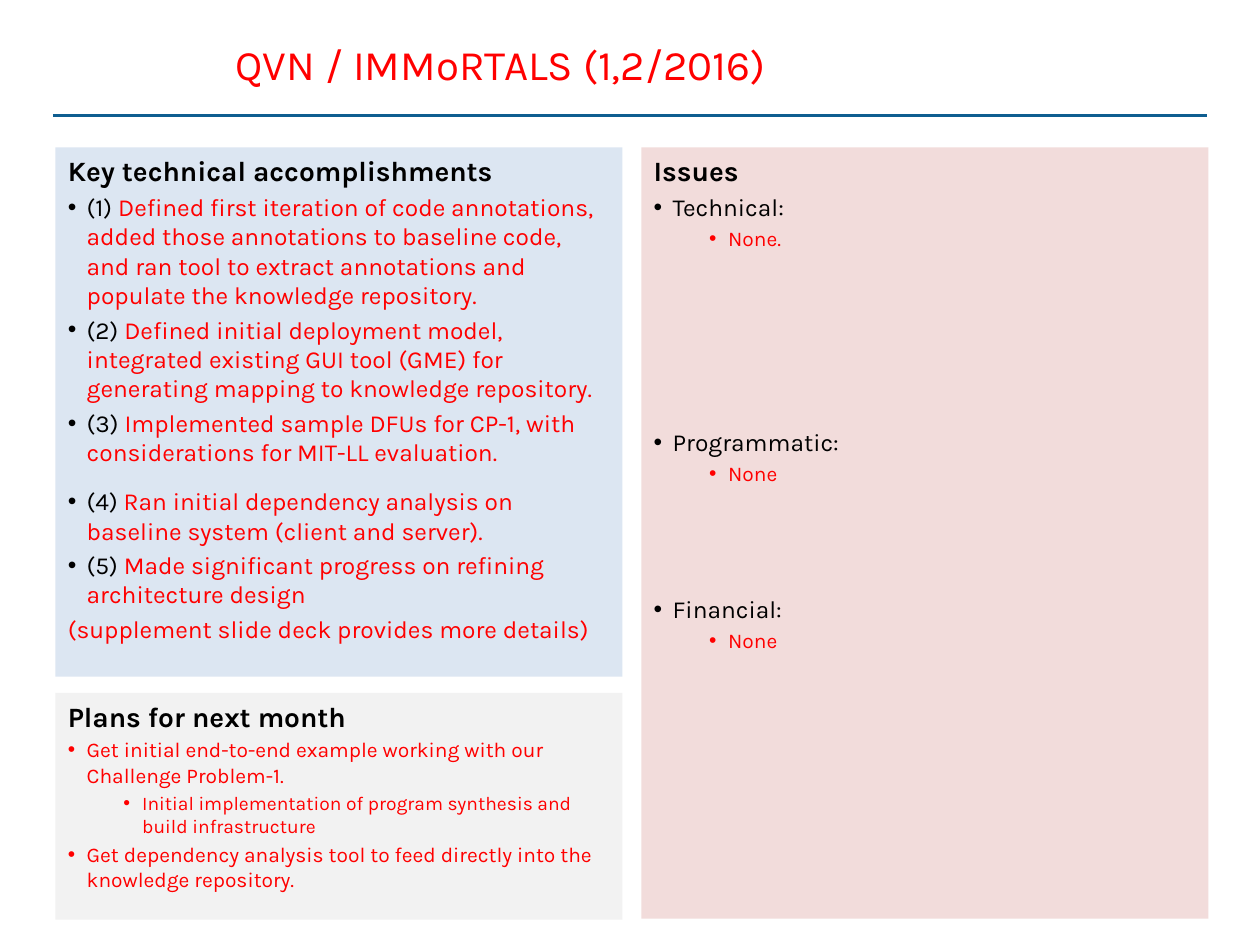
"""Build a one-page monthly status slide with three panels."""
from dataclasses import dataclass
from lxml.etree import SubElement
from pptx import Presentation
from pptx.dml.color import RGBColor as RGB
from pptx.enum.shapes import MSO_CONNECTOR as Conn, MSO_SHAPE as Shape
from pptx.enum.text import MSO_ANCHOR as Anchor, PP_ALIGN as Align
from pptx.oxml.ns import qn
from pptx.util import Inches, Pt


@dataclass(frozen=True)
class Theme:
    font: str = "Karla"
    ink: RGB = RGB(0, 0, 0)
    red: RGB = RGB(255, 0, 0)
    rule: RGB = RGB.from_string("0F5E90")
    blue: RGB = RGB.from_string("DCE6F2")
    pink: RGB = RGB.from_string("F2DCDB")
    gray: RGB = RGB.from_string("F2F2F2")
    title: int = 24
    head: int = 16
    body: int = 14
    small: int = 12
    tiny: int = 11


T = Theme()
INDENT = {0: 0.15, 1: 0.59}


def style(para, size, color, bold=False):
    para.alignment = Align.LEFT
    font = para.font
    font.name, font.size, font.bold = T.font, Pt(size), bold
    font.color.rgb = color


def add_item(frame, level, size, label, text, blanks=0):
    para = frame.add_paragraph()
    para.space_before = Pt(round(0.2 * size + blanks, 1))
    if level is not None:
        para.level = level
        props = para._p.get_or_add_pPr()
        props.set("marL", str(Inches(INDENT[level])))
        props.set("indent", str(Inches(-0.15)))
        SubElement(props, qn("a:buFont"), typeface="Arial")
        SubElement(props, qn("a:buChar"), char="•")
    style(para, size, T.ink if label else T.red)
    if label:
        para.add_run().text = label
    if text:
        run = para.add_run()
        run.text = text
        run.font.color.rgb = T.red


done = [
    (0, T.body, "(1) ", "Defined first iteration of code annotations, added those annotations "
     "to baseline code, and ran tool to extract annotations and populate the knowledge repository."),
    (0, T.body, "(2) ", "Defined initial deployment model, integrated existing GUI tool (GME) "
     "for generating mapping to knowledge repository."),
    (0, T.body, "(3) ", "Implemented sample DFUs for CP-1, with considerations for MIT-LL evaluation."),
    (0, T.body, "(4) ", "Ran initial dependency analysis on baseline system (client and server).", 8.4),
    (0, T.body, "(5) ", "Made significant progress on refining architecture design"),
    (None, T.body, "", "(supplement slide deck provides more details)"),
]
issues = [
    (0, T.body, "Technical:", ""),
    (1, T.small, "", "None."),
    (0, T.body, "Programmatic:", "", 98),
    (1, T.small, "", "None"),
    (0, T.body, "Financial:", "", 58.8),
    (1, T.small, "", "None"),
]
plans = [
    (0, T.small, "", "Get initial end-to-end example working with our Challenge Problem-1."),
    (1, T.tiny, "", "Initial implementation of program synthesis and build infrastructure"),
    (0, T.small, "", "Get dependency analysis tool to feed directly into the knowledge repository."),
]
panels = [
    (0.44, 1.17, 4.2, T.blue, "Key technical accomplishments", done),
    (5.09, 1.17, 6.12, T.pink, "Issues", issues),
    (0.44, 5.5, 1.8, T.gray, "Plans for next month", plans),
]

deck = Presentation()
deck.slide_width, deck.slide_height = Inches(10), Inches(7.5)
slide = deck.slides.add_slide(deck.slide_layouts[6])
shapes = slide.shapes

rule = shapes.add_connector(Conn.STRAIGHT, Inches(0.42), Inches(0.92), Inches(9.58), Inches(0.92))
rule.line.color.rgb = T.rule
rule.line.width = Pt(1.75)
SubElement(rule._element.spPr, qn("a:effectLst"))

for left, top, height, fill, head, items in panels:
    panel = shapes.add_shape(Shape.RECTANGLE, Inches(left), Inches(top), Inches(4.5), Inches(height))
    panel.shadow.inherit = False
    panel.fill.solid()
    panel.fill.fore_color.rgb = fill
    panel.line.fill.background()
    frame = panel.text_frame
    frame.word_wrap = True
    frame.vertical_anchor = Anchor.TOP
    first = frame.paragraphs[0]
    first.text = head
    style(first, T.head, T.ink, True)
    for item in items:
        add_item(frame, *item)

title = shapes.add_textbox(Inches(1.77), Inches(0.17), Inches(7.81), Inches(0.67)).text_frame
title.word_wrap = True
title.vertical_anchor = Anchor.MIDDLE
title.paragraphs[0].text = "QVN / IMMoRTALS (1,2/2016)"
style(title.paragraphs[0], T.title, T.red)

deck.save("out.pptx")
